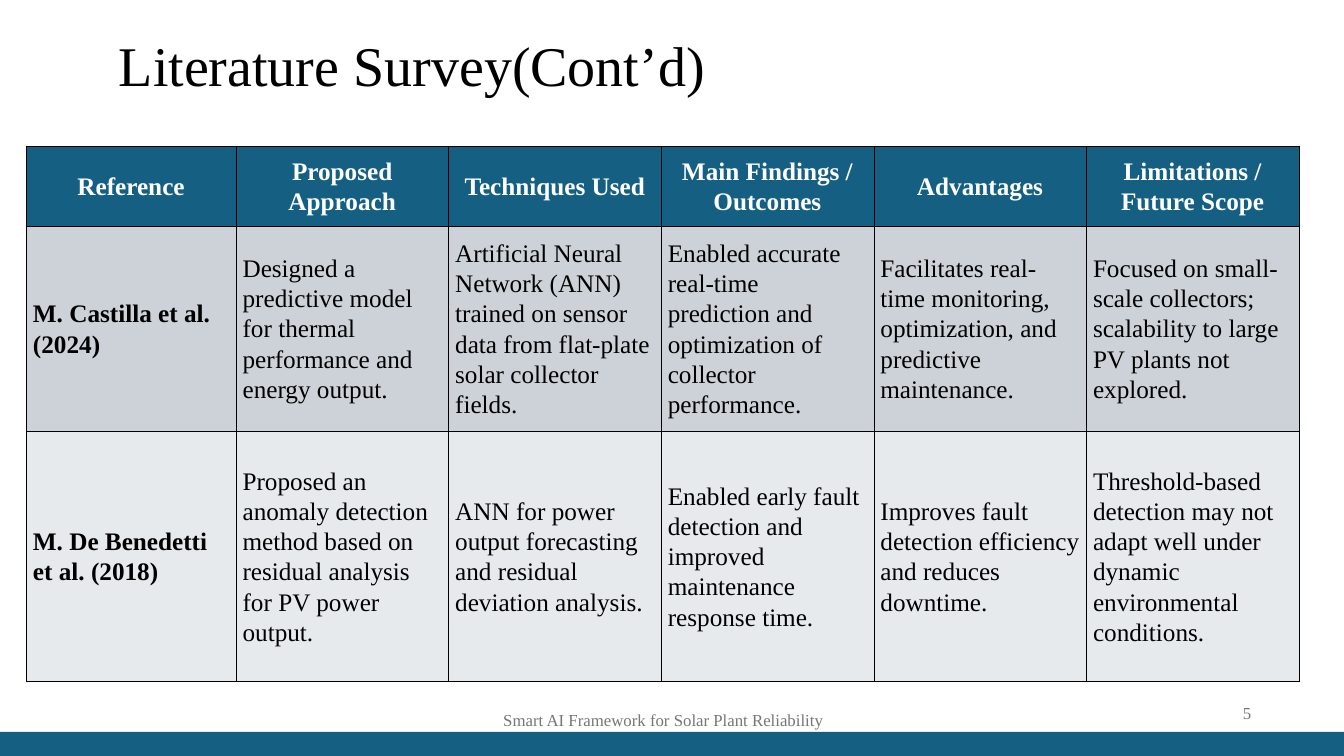
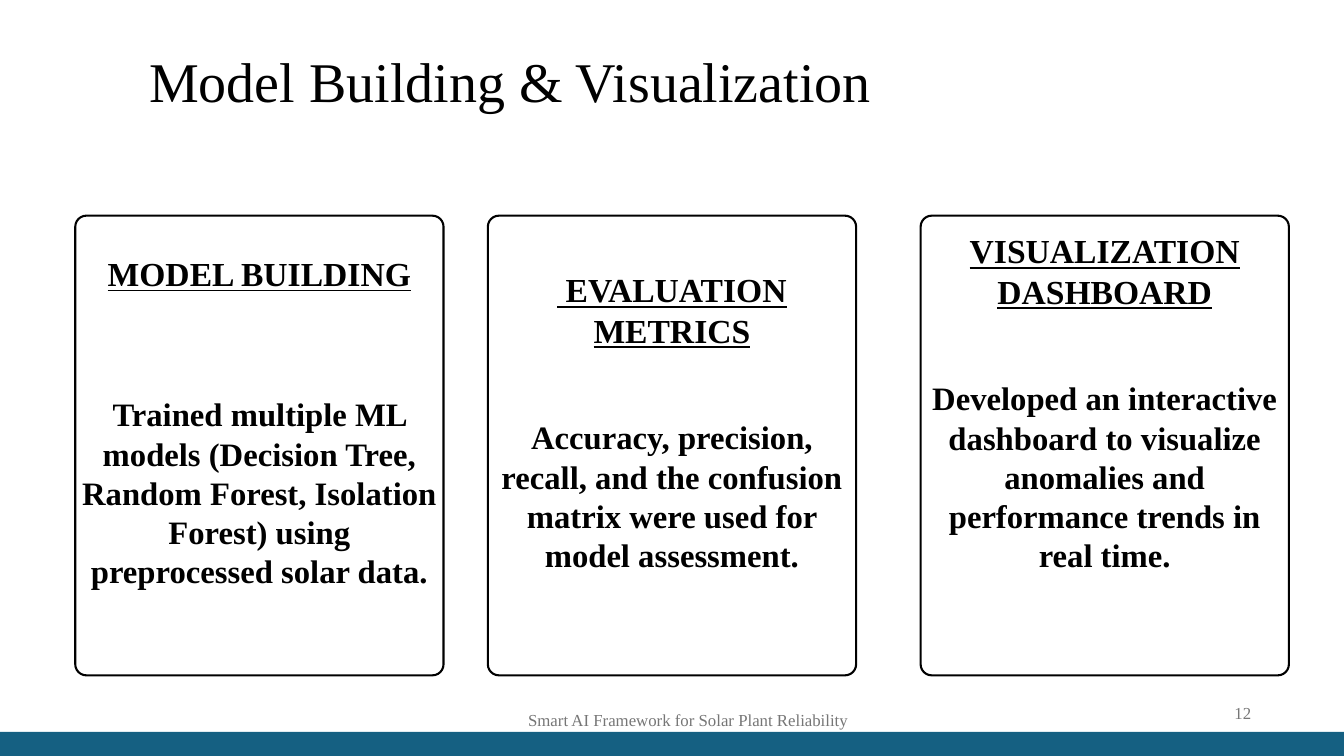
from lxml.etree import SubElement
from pptx import Presentation
from pptx.dml.color import RGBColor
from pptx.enum.shapes import MSO_SHAPE
from pptx.enum.text import MSO_ANCHOR, MSO_AUTO_SIZE, PP_ALIGN
from pptx.oxml.ns import qn
from pptx.util import Inches, Pt

# Shared look: a grid of 20 columns by 11.25 rows, one palette, one font
COLUMNS, ROWS = 20, 11.25
SLIDE_WIDTH, SLIDE_HEIGHT = Inches(20), Inches(11.25)
FONT = "Times New Roman"
COLORS = {
    "band": "156082",
    "ink": "000000",
    "paper": "FFFFFF",
    "footer": "767676",
    "row_dark": "CCD2D8",
    "row_light": "E7EAED",
}
FOOTER = "Smart AI Framework for Solar Plant Reliability"
BAND_TOP = 10.89
BORDER_WIDTH = Pt(0.37)

# Literature table
COLUMN_WIDTHS = [3.12] + [3.164] * 5
ROW_HEIGHTS = [1.19, 3.05, 3.73]
ROW_FILLS = ["band", "row_dark", "row_light"]
SURVEY = [
    ["Reference", "Proposed Approach", "Techniques Used",
     "Main Findings / Outcomes", "Advantages", "Limitations / Future Scope"],
    ["M. Castilla et al. (2024)",
     "Designed a predictive model for thermal performance and energy output.",
     "Artificial Neural Network (ANN) trained on sensor data from flat-plate "
     "solar collector fields.",
     "Enabled accurate real-time prediction and optimization of collector performance.",
     "Facilitates real-time monitoring, optimization, and predictive maintenance.",
     "Focused on small-scale collectors; scalability to large PV plants not explored."],
    ["M. De Benedetti et al. (2018)",
     "Proposed an anomaly detection method based on residual analysis for PV power output.",
     "ANN for power output forecasting and residual deviation analysis.",
     "Enabled early fault detection and improved maintenance response time.",
     "Improves fault detection efficiency and reduces downtime.",
     "Threshold-based detection may not adapt well under dynamic environmental conditions."],
]

# Cards: left column, rows above the heading, heading lines, gap in points, body
CARDS = [
    (1.12, 0.51, ["MODEL BUILDING"], 108,
     "Trained multiple ML models (Decision Tree, Random Forest, Isolation Forest) "
     "using preprocessed solar data."),
    (7.26, 0.75, [" EVALUATION", "METRICS"], 72,
     "Accuracy, precision, recall, and the confusion matrix were used for model assessment."),
    (13.7, 0.17, ["VISUALIZATION DASHBOARD"], 72,
     "Developed an interactive dashboard to visualize anomalies and performance "
     "trends in real time."),
]


def color(name):
    return RGBColor.from_string(COLORS[name])


def across(columns):
    return round(SLIDE_WIDTH * columns / COLUMNS)


def down(rows):
    return round(SLIDE_HEIGHT * rows / ROWS)


def area(left, top, width, height):
    return across(left), down(top), across(width), down(height)


def set_all(target, values):
    for name, value in values.items():
        setattr(target, name, value)


def write(para, text, size, ink="ink", align=PP_ALIGN.LEFT, spacing=None, before=0, **style):
    set_all(para, {"alignment": align, "line_spacing": Pt(spacing or size * 1.2),
                   "space_before": Pt(before), "space_after": Pt(0)})
    span = para.add_run()
    span.text = text
    set_all(span.font, {"name": FONT, "size": Pt(size), **style})
    span.font.color.rgb = color(ink)


def set_frame(frame, anchor=MSO_ANCHOR.MIDDLE, margin=0):
    set_all(frame, {"word_wrap": True, "auto_size": MSO_AUTO_SIZE.NONE,
                    "vertical_anchor": anchor})
    set_all(frame, {f"margin_{side}": Inches(margin)
                    for side in ("left", "top", "right", "bottom")})


def add_panel(slide, kind, place, fill):
    panel = slide.shapes.add_shape(kind, *place)
    panel.shadow.inherit = False
    panel.fill.solid()
    panel.fill.fore_color.rgb = color(fill)
    return panel


def add_text(slide, place, text, **style):
    frame = slide.shapes.add_textbox(*place).text_frame
    set_frame(frame)
    write(frame.paragraphs[0], text, **style)


def add_page(deck, title, title_place, title_spacing, number, footer_left, footer_width):
    page = deck.slides.add_slide(deck.slide_layouts.get_by_name("Title Only"))
    band = add_panel(page, MSO_SHAPE.RECTANGLE,
                     area(0, BAND_TOP, COLUMNS, ROWS - BAND_TOP), "band")
    band.line.fill.background()

    heading = page.shapes.title
    set_all(heading, dict(zip(("left", "top", "width", "height"), area(*title_place))))
    set_frame(heading.text_frame)
    write(heading.text_frame.paragraphs[0], title, 60, spacing=title_spacing)

    add_text(page, area(footer_left, 10.41, footer_width, 0.61), FOOTER,
             size=18, ink="footer", align=PP_ALIGN.CENTER)
    add_text(page, area(14.12, 10.41, 4.5, 0.39), str(number),
             size=18, ink="footer", align=PP_ALIGN.RIGHT)
    return page


def add_borders(cell):
    properties = cell._tc.get_or_add_tcPr()
    for side in ("lnL", "lnR", "lnT", "lnB"):
        border = SubElement(properties, qn(f"a:{side}"), w=str(BORDER_WIDTH))
        fill = SubElement(border, qn("a:solidFill"))
        SubElement(fill, qn("a:srgbClr"), val=COLORS["ink"])


def add_survey_table(page):
    place = area(0.39, 2.17, sum(COLUMN_WIDTHS), sum(ROW_HEIGHTS))
    table = page.shapes.add_table(len(SURVEY), len(COLUMN_WIDTHS), *place).table
    for column, width in zip(table.columns, COLUMN_WIDTHS):
        column.width = across(width)
    for row, height in zip(table.rows, ROW_HEIGHTS):
        row.height = down(height)

    for row_index, texts in enumerate(SURVEY):
        header = row_index == 0
        for column_index, text in enumerate(texts):
            cell = table.cell(row_index, column_index)
            add_borders(cell)
            cell.fill.solid()
            cell.fill.fore_color.rgb = color(ROW_FILLS[row_index])
            cell.vertical_anchor = MSO_ANCHOR.MIDDLE
            set_all(cell, {f"margin_{side}": Inches(0.1)
                           for side in ("left", "top", "right", "bottom")})
            write(cell.text_frame.paragraphs[0], text, 27,
                  ink="paper" if header else "ink",
                  align=PP_ALIGN.CENTER if header else PP_ALIGN.LEFT,
                  bold=header or column_index == 0)


def add_card(page, left, inset, heading_lines, gap, body):
    card = add_panel(page, MSO_SHAPE.ROUNDED_RECTANGLE, area(left, 3.21, 5.48, 6.84), "paper")
    card.adjustments[0] = 0.03
    card.line.color.rgb = color("ink")
    card.line.width = Pt(2.25)

    frame = card.text_frame
    set_frame(frame, MSO_ANCHOR.TOP, 0.01)
    frame.margin_top = down(inset)
    for index, line in enumerate(heading_lines):
        para = frame.add_paragraph() if index else frame.paragraphs[0]
        write(para, line, 36, align=PP_ALIGN.CENTER, bold=True, underline=True)
    write(frame.add_paragraph(), body, 35, align=PP_ALIGN.CENTER, before=gap, bold=True)


def main():
    deck = Presentation()
    set_all(deck, {"slide_width": SLIDE_WIDTH, "slide_height": SLIDE_HEIGHT})

    # Literature survey
    survey_page = add_page(deck, "Literature Survey(Cont’d)", (1.77, -0.05, 17.25, 2.11),
                           64.8, 5, 1.34, 17.06)
    add_survey_table(survey_page)

    # Model building
    model_page = add_page(deck, "Model Building & Visualization", (2.22, 0.54, 12.22, 1.15),
                          84, 12, 1.34, 17.8)
    for card in CARDS:
        add_card(model_page, *card)

    deck.save("out.pptx")


if __name__ == "__main__":
    main()
